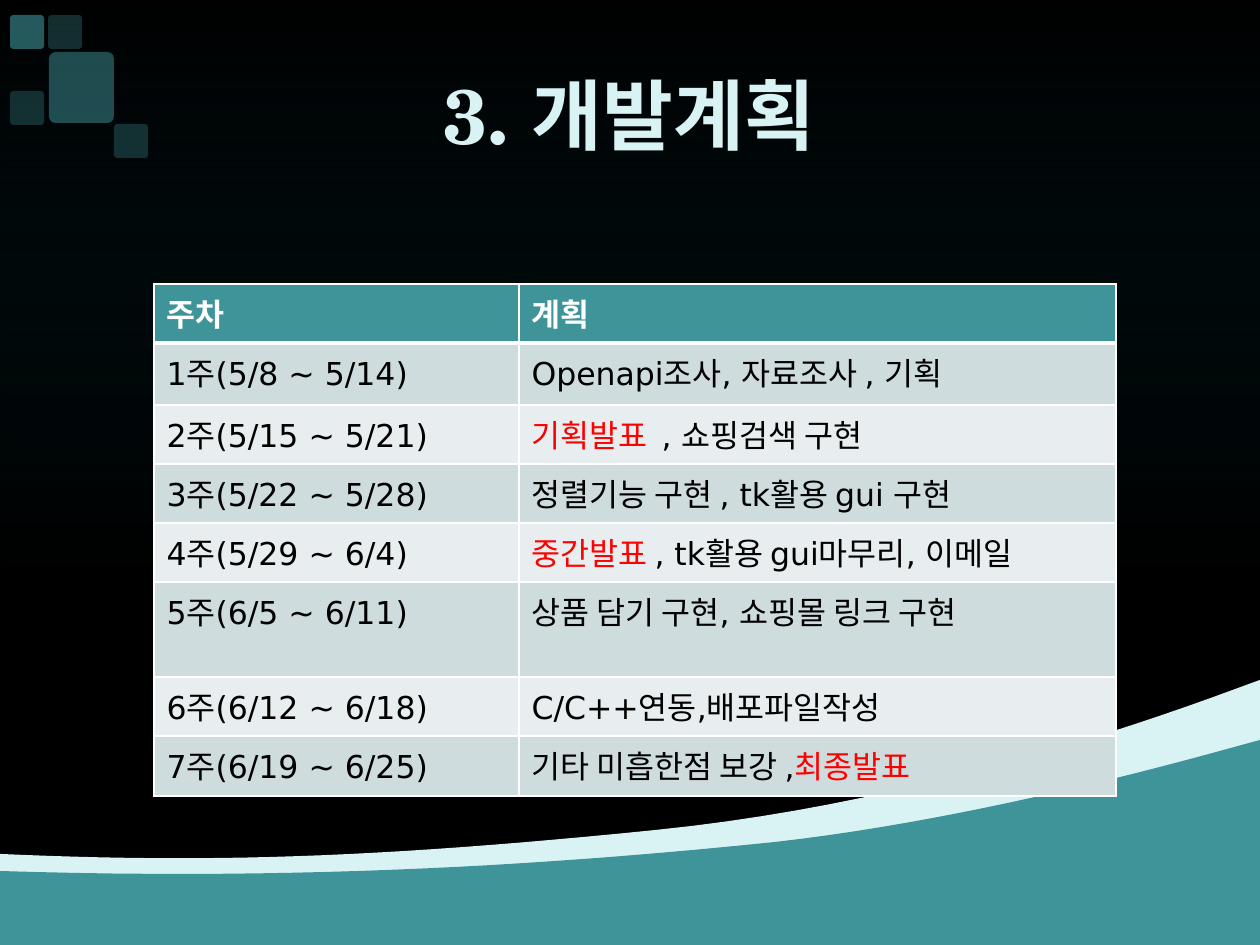
from dataclasses import dataclass

from lxml.etree import SubElement
from pptx import Presentation
from pptx.dml.color import RGBColor
from pptx.enum.shapes import MSO_SHAPE
from pptx.enum.text import MSO_ANCHOR, MSO_AUTO_SIZE, PP_ALIGN
from pptx.oxml.ns import qn
from pptx.util import Pt

PX = 914400 / 126  # EMU in one px


@dataclass(frozen=True)
class Theme:
    black: str = "000000"
    white: str = "FFFFFF"
    glow: str = "005466"
    teal: str = "3F949A"
    pale: str = "D9F3F4"
    bands: tuple = ("CFDCDE", "E8EEEF")
    red: str = "FF0000"
    title_font: str = "TeX Gyre Schola"
    body_font: str = "DejaVu Sans"
    title_size: int = 44
    body_size: int = 18
    rule: int = 1
    header_rule: int = 3


def px(*lengths):
    return [round(n * PX) for n in lengths]


def rgb(color):
    return RGBColor.from_string(color)


def set_alpha(color_element, percent):
    SubElement(color_element, qn("a:alpha"), val=str(percent * 1000))


def curve_points(start, curves, steps=24):
    """Sample a chain of cubic Bezier curves, each given as six px values."""
    x0, y0 = start
    points = [start]
    for x1, y1, x2, y2, x3, y3 in curves:
        for i in range(1, steps + 1):
            t = i / steps
            u = 1 - t
            a, b, c, d = u**3, 3 * u * u * t, 3 * u * t * t, t**3
            points.append((a * x0 + b * x1 + c * x2 + d * x3,
                           a * y0 + b * y1 + c * y2 + d * y3))
        x0, y0 = x3, y3
    return points


class Deck:
    def __init__(self, theme, width, height):
        self.theme = theme
        self.size = (width, height)
        self.prs = Presentation()
        self.prs.slide_width, self.prs.slide_height = px(width, height)
        self.s = self.prs.slides.add_slide(self.prs.slide_layouts[5])

    def background(self):
        fill = self.s.background.fill
        fill.solid()
        fill.fore_color.rgb = rgb(self.theme.black)
        sp = self.s.shapes.add_shape(MSO_SHAPE.RECTANGLE, *px(0, 0, *self.size))
        sp.shadow.inherit = False
        sp.line.fill.background()
        sp.fill.gradient()
        sp.fill.gradient_angle = 270
        stops = ((0, self.theme.glow), (0.61, self.theme.black))
        for stop, (position, color) in zip(sp.fill.gradient_stops, stops):
            stop.position = position
            stop.color.rgb = rgb(color)
        for element, percent in zip(sp.element.spPr.iter(qn("a:srgbClr")), (0, 40)):
            set_alpha(element, percent)

    def paint(self, sp, color):
        sp.shadow.inherit = False
        sp.line.fill.background()
        sp.fill.solid()
        sp.fill.fore_color.rgb = rgb(color)

    def wave(self, color, start, curves):
        """Fill the area between a curved edge and the bottom of the slide."""
        width, height = self.size
        points = curve_points(start, curves) + [(width, height), (0, height)]
        first, *rest = [px(*point) for point in points]
        builder = self.s.shapes.build_freeform(*first)
        builder.add_line_segments(rest, close=True)
        self.paint(builder.convert_to_shape(), color)

    def tile(self, x, y, w, h, opacity):
        sp = self.s.shapes.add_shape(MSO_SHAPE.ROUNDED_RECTANGLE, *px(x, y, w, h))
        sp.adjustments[0] = 0.1
        self.paint(sp, self.theme.teal)
        set_alpha(next(sp.element.spPr.iter(qn("a:srgbClr"))), opacity)

    def title(self, text, x, y, w, h):
        sp = self.s.shapes.title
        sp.left, sp.top, sp.width, sp.height = px(x, y, w, h)
        sp.element.getparent().append(sp.element)  # bring to front
        tf = sp.text_frame
        tf.text = text
        tf.auto_size = MSO_AUTO_SIZE.NONE
        tf.vertical_anchor = MSO_ANCHOR.MIDDLE
        p = tf.paragraphs[0]
        p.alignment = PP_ALIGN.CENTER
        p.font.name = self.theme.title_font
        p.font.size = Pt(self.theme.title_size)
        p.font.bold = True
        p.font.color.rgb = rgb(self.theme.pale)

    def borders(self, cell, top, bottom):
        tc_pr = cell._tc.get_or_add_tcPr()
        rule = self.theme.rule
        for side, width in (("L", rule), ("R", rule), ("T", top), ("B", bottom)):
            ln = SubElement(tc_pr, qn(f"a:ln{side}"), w=str(Pt(width)))
            fill = SubElement(ln, qn("a:solidFill"))
            SubElement(fill, qn("a:srgbClr"), val=self.theme.white)

    def cell(self, cell, runs, row):
        """Fill one cell; runs are (text, is_milestone) pairs."""
        th = self.theme
        header = row == 0
        self.borders(cell, th.header_rule if row == 1 else th.rule,
                     th.header_rule if header else th.rule)
        cell.fill.solid()
        cell.fill.fore_color.rgb = rgb(th.teal if header else th.bands[(row - 1) % 2])
        p = cell.text_frame.paragraphs[0]
        p.font.name = th.body_font
        p.font.size = Pt(th.body_size)
        p.font.bold = header
        for text, is_milestone in runs:
            r = p.add_run()
            r.text = text
            color = th.white if header else th.red if is_milestone else th.black
            r.font.color.rgb = rgb(color)

    def table(self, rows, x, y, widths, heights):
        frame = self.s.shapes.add_table(len(rows), len(widths),
                                        *px(x, y, sum(widths), sum(heights)))
        table = frame.table
        table.horz_banding = False
        for column, width in zip(table.columns, px(*widths)):
            column.width = width
        for table_row, height in zip(table.rows, px(*heights)):
            table_row.height = height
        for i, (week, plan) in enumerate(rows):
            self.cell(table.cell(i, 0), [(week, False)], i)
            self.cell(table.cell(i, 1), plan, i)


def plain(text):
    return [(text, False)]


SCHEDULE = [
    ("주차", plain("계획")),
    ("1주(5/8 ~ 5/14)", plain("Openapi조사, 자료조사 , 기획")),
    ("2주(5/15 ~ 5/21)", [("기획발표 ", True), (" , 쇼핑검색 구현", False)]),
    ("3주(5/22 ~ 5/28)", plain("정렬기능 구현 , tk활용 gui 구현")),
    ("4주(5/29 ~ 6/4)", [("중간발표 ", True), (", tk활용 gui마무리, 이메일", False)]),
    ("5주(6/5 ~ 6/11)", plain("상품 담기 구현, 쇼핑몰 링크 구현")),
    ("6주(6/12 ~ 6/18)", plain("C/C++연동,배포파일작성")),
    ("7주(6/19 ~ 6/25)", [("기타 미흡한점 보강 ,", False), ("최종발표", True)]),
]
TILES = [
    (48, 15, 34, 34, 30),
    (10, 91, 34, 34, 30),
    (10, 15, 34, 34, 60),
    (114, 124, 34, 34, 30),
    (49, 52, 65, 71, 50),
]


def main():
    theme = Theme()
    deck = Deck(theme, 1260, 945)
    deck.background()
    deck.wave(theme.pale, (0, 854), [(203, 863, 369, 859, 656, 830),
                                     (944, 801, 1194, 704, 1260, 680)])
    deck.wave(theme.teal, (0, 871), [(310, 881, 561, 864, 775, 842),
                                     (988, 818, 1208, 754, 1260, 740)])
    for tile in TILES:
        deck.tile(*tile)
    deck.table(SCHEDULE, 154, 284, (365, 597), (59, 62, 59, 59, 59, 95, 59, 60))
    deck.title("3. 개발계획", 115, 45, 1029, 137)
    deck.prs.save("out.pptx")


if __name__ == "__main__":
    main()
